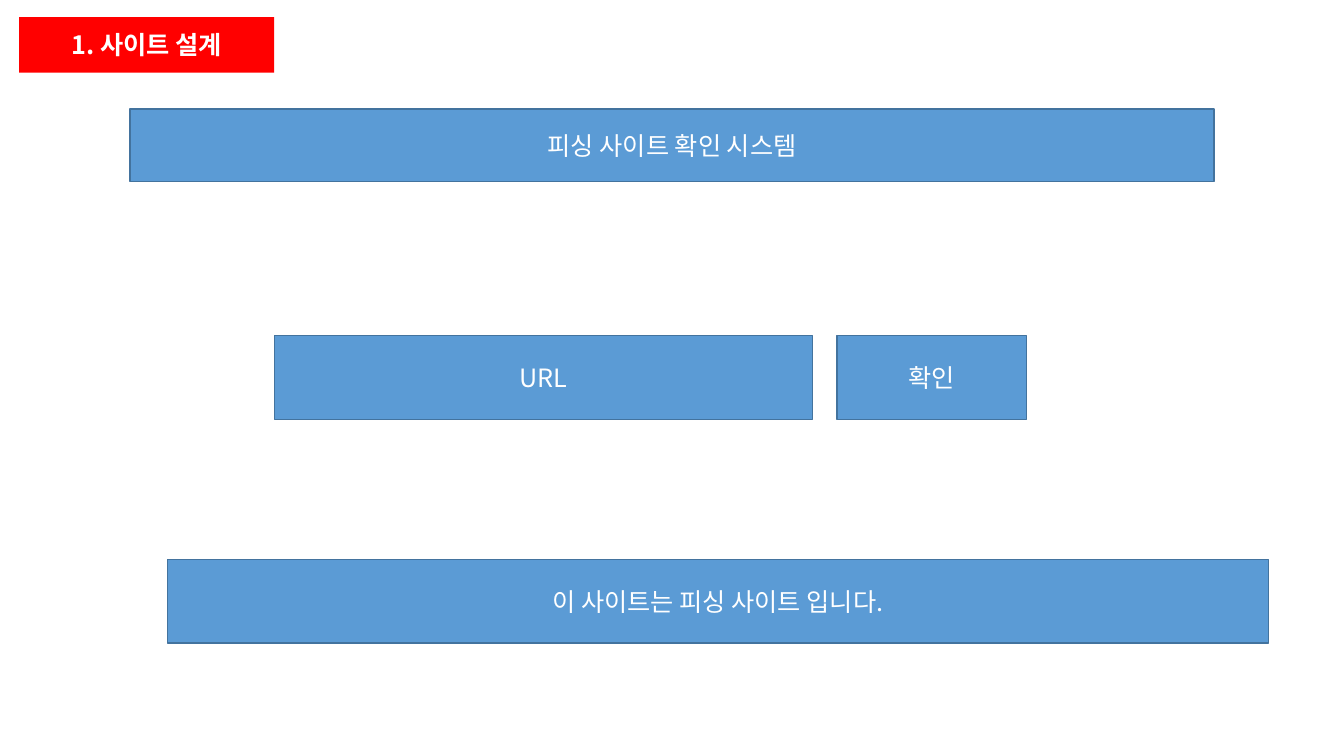
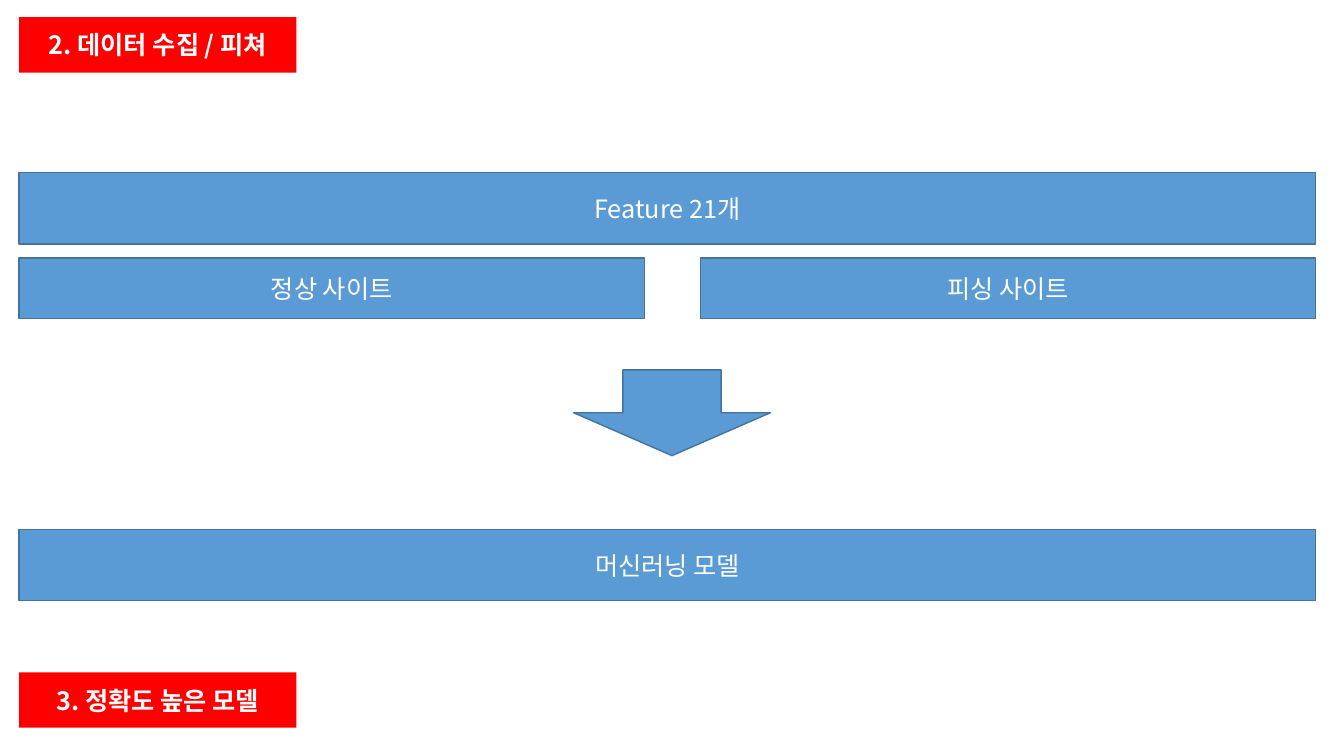
from dataclasses import dataclass

from pptx import Presentation
from pptx import util as u
from pptx.dml.color import RGBColor
from pptx.enum import shapes, text
from pptx.oxml.ns import qn
from lxml import etree


@dataclass(frozen=True)
class Theme:
    """Colours, type and measures shared by the slides."""
    red: RGBColor = RGBColor(0xFF, 0x00, 0x00)
    blue: RGBColor = RGBColor(0x5B, 0x9B, 0xD5)
    outline: RGBColor = RGBColor(0x43, 0x73, 0x9E)
    white: RGBColor = RGBColor(0xFF, 0xFF, 0xFF)
    font: str = "Noto Sans CJK KR"
    size: int = 18
    line: float = 1
    margin: float = 0.19
    label_top: float = 0.17
    label_height: float = 0.55


THEME = Theme()


def write(shape, words, bold=False):
    """Centre one line of white text in a shape."""
    frame = shape.text_frame
    frame.auto_size = text.MSO_AUTO_SIZE.NONE
    frame.word_wrap = True
    frame.vertical_anchor = text.MSO_ANCHOR.MIDDLE
    frame.text = words
    para = frame.paragraphs[0]
    para.alignment = text.PP_ALIGN.CENTER
    para.font.name = THEME.font
    para.font.size = u.Pt(THEME.size)
    para.font.bold = bold
    para.font.color.rgb = THEME.white
    properties = para._p.find(".//" + qn("a:defRPr"))
    etree.SubElement(properties, qn("a:ea"), typeface=THEME.font)


def add_shape(page, box, kind=shapes.MSO_SHAPE.RECTANGLE):
    """Add a shape without shadow at box (left, top, width, height)."""
    shape = page.shapes.add_shape(kind, *map(u.Inches, box))
    shape.shadow.inherit = False
    return shape


def paint_blue(shape):
    """Give a shape the blue fill and its darker outline."""
    shape.fill.solid()
    shape.fill.fore_color.rgb = THEME.blue
    shape.line.color.rgb = THEME.outline
    shape.line.width = u.Pt(THEME.line)


def add_bar(page, box, words):
    """Add a blue bar with centred text."""
    bar = add_shape(page, box)
    paint_blue(bar)
    write(bar, words)


def style_label(label, words):
    """Turn a shape or placeholder into a red section label."""
    label.fill.solid()
    label.fill.fore_color.rgb = THEME.red
    label.line.fill.background()
    write(label, words, bold=True)


def add_page(deck, title, width):
    """Add a slide whose title is a red label in the top left corner."""
    page = deck.slides.add_slide(deck.slide_layouts.get_by_name("Title Only"))
    label = page.shapes.title
    label.left, label.top = u.Inches(THEME.margin), u.Inches(THEME.label_top)
    label.width, label.height = u.Inches(width), u.Inches(THEME.label_height)
    style_label(label, title)
    return page


def add_search_row(page, box, field_width, gap):
    """Split a box into the URL field and the confirm button."""
    left, top, width, height = box
    add_bar(page, (left, top, field_width, height), "URL")
    offset = field_width + gap
    add_bar(page, (left + offset, top, width - offset, height), "확인")


def add_data_block(page, box):
    """Place the feature bar above the two kinds of site."""
    left, top, width, height = box
    site_height, normal_width, phishing_width = 0.6, 6.2, 6.1
    site_top = top + height - site_height
    add_bar(page, (left, top, width, 0.71), "Feature 21개")
    add_bar(page, (left, site_top, normal_width, site_height), "정상 사이트")
    add_bar(page, (left + width - phishing_width, site_top,
                   phishing_width, site_height), "피싱 사이트")


def add_site_design(deck):
    """Build the slide with the layout of the site."""
    page = add_page(deck, "1. 사이트 설계", 2.53)
    add_bar(page, (1.29, 1.08, 10.75, 0.72), "피싱 사이트 확인 시스템")
    add_search_row(page, (2.72, 3.33, 7.46, 0.83), 5.34, 0.24)
    add_bar(page, (1.66, 5.55, 10.92, 0.83), "이 사이트는 피싱 사이트 입니다.")


def add_data_collection(deck):
    """Build the slide that leads from the data to the model."""
    label_width, full_width = 2.75, 12.86
    page = add_page(deck, "2. 데이터 수집 / 피쳐", label_width)
    add_data_block(page, (THEME.margin, 1.71, full_width, 1.45))
    arrow = add_shape(page, (5.69, 3.67, 1.95, 0.85), shapes.MSO_SHAPE.DOWN_ARROW)
    paint_blue(arrow)
    add_bar(page, (THEME.margin, 5.25, full_width, 0.71), "머신러닝 모델")
    label = add_shape(page, (THEME.margin, 6.67, label_width, THEME.label_height))
    style_label(label, "3. 정확도 높은 모델")


def main():
    """Build and save the deck."""
    deck = Presentation()
    deck.slide_width, deck.slide_height = u.Inches(13.33), u.Inches(7.5)
    add_site_design(deck)
    add_data_collection(deck)
    deck.save("out.pptx")


main()
